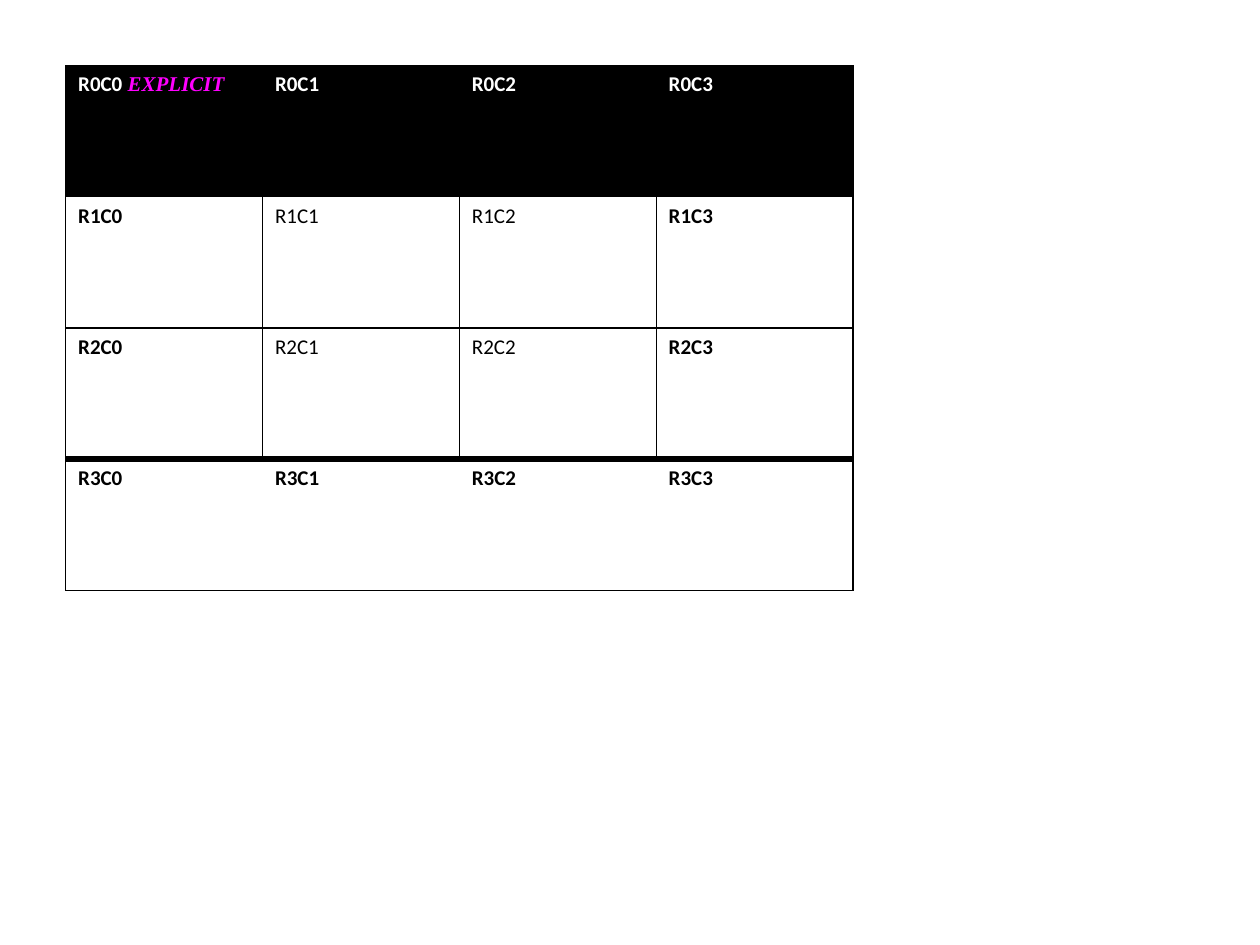
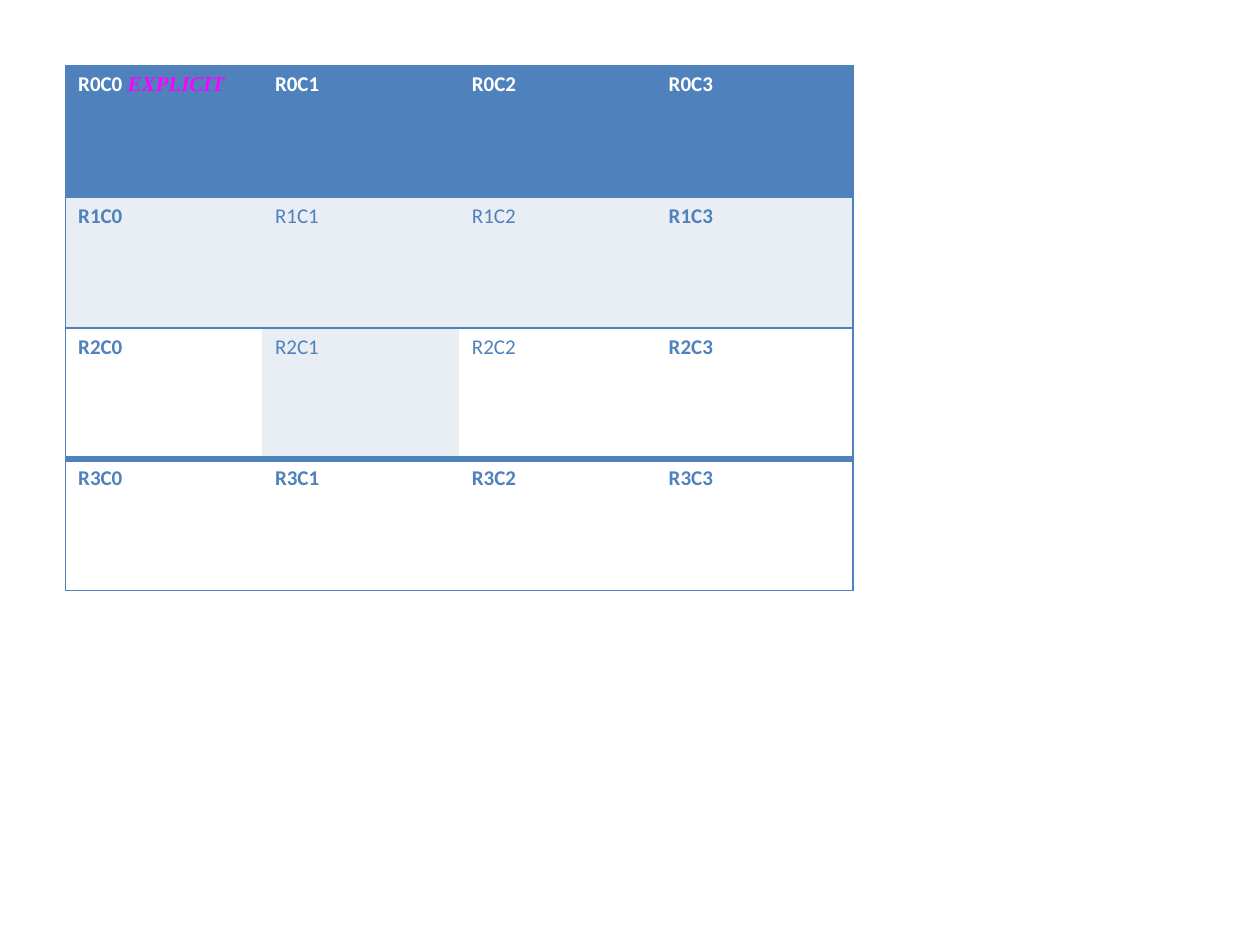
from collections import namedtuple

from lxml import etree
from pptx import Presentation
from pptx.dml.color import RGBColor
from pptx.oxml.ns import qn
from pptx.util import Pt

BLANK_LAYOUT = 6
PLAIN_TABLE_STYLE = "{2D5ABB26-0587-4C30-8999-92F81FD0307C}"
WHITE, MAGENTA = "FFFFFF", "FF00FF"
BODY_FONT, ACCENT_FONT = "Calibri", "Times New Roman"
TEXT_SIZE = 12
TOTAL_RULE = 4
ROWS = COLUMNS = 4
LAST = ROWS - 1
TABLE_BOX = (37.5, 37.5, 450, 300)

Theme = namedtuple("Theme", "accent line_width inner_lines tinted_cells tint")
BLACK_GRID = Theme("000000", 0.75, True, set(), WHITE)
BLUE_BANDS = Theme("4F81BD", 1, False,
                   {(1, column) for column in range(COLUMNS)} | {(2, 1)}, "E9EDF4")


def color(value):
    return RGBColor.from_string(value)


def add_run(paragraph, text, font_name, text_color, bold, italic=False):
    run = paragraph.add_run()
    run.text = text
    run.font.name = font_name
    run.font.size = Pt(TEXT_SIZE)
    run.font.bold = bold
    run.font.italic = italic
    run.font.color.rgb = color(text_color)


def add_border(cell, side, line_color, width):
    properties = cell._tc.get_or_add_tcPr()
    line = etree.SubElement(properties, qn(f"a:ln{side}"), w=str(int(Pt(width))))
    fill = etree.SubElement(line, qn("a:solidFill"))
    etree.SubElement(fill, qn("a:srgbClr"), val=line_color)


def border_widths(row, column, theme):
    has_inner = theme.inner_lines and 0 < row < LAST
    width = theme.line_width
    return {
        "L": width if column == 0 or has_inner else 0,
        "R": width if column == COLUMNS - 1 or has_inner else 0,
        "T": TOTAL_RULE if row == LAST else width,
        "B": TOTAL_RULE if row == LAST - 1 else width,
    }


def cell_fill(row, column, theme):
    if row == 0:
        return theme.accent
    return theme.tint if (row, column) in theme.tinted_cells else WHITE


def format_cell(cell, row, column, theme):
    for side, width in border_widths(row, column, theme).items():
        if width:
            add_border(cell, side, theme.accent, width)
    cell.fill.solid()
    cell.fill.fore_color.rgb = color(cell_fill(row, column, theme))

    is_bold = row in (0, LAST) or column in (0, COLUMNS - 1)
    paragraph = cell.text_frame.paragraphs[0]
    add_run(paragraph, f"R{row}C{column}", BODY_FONT,
            WHITE if row == 0 else theme.accent, is_bold)
    if row == column == 0:
        add_run(paragraph, " EXPLICIT", ACCENT_FONT, MAGENTA, True, italic=True)


def add_styled_table(slide, box, theme):
    left, top, width, height = box
    table = slide.shapes.add_table(
        ROWS, COLUMNS, Pt(left), Pt(top), Pt(width), Pt(height)).table
    table._tbl.tblPr.find(qn("a:tableStyleId")).text = PLAIN_TABLE_STYLE
    table.first_row = True
    table.horz_banding = False
    for column in table.columns:
        column.width = Pt(width / COLUMNS)
    for row in table.rows:
        row.height = Pt(height / ROWS)
    for row in range(ROWS):
        for column in range(COLUMNS):
            format_cell(table.cell(row, column), row, column, theme)


def main():
    presentation = Presentation()
    presentation.slide_width = Pt(720)
    presentation.slide_height = Pt(540)
    for theme in (BLACK_GRID, BLUE_BANDS):
        slide = presentation.slides.add_slide(presentation.slide_layouts[BLANK_LAYOUT])
        add_styled_table(slide, TABLE_BOX, theme)
    presentation.save("out.pptx")


if __name__ == "__main__":
    main()
